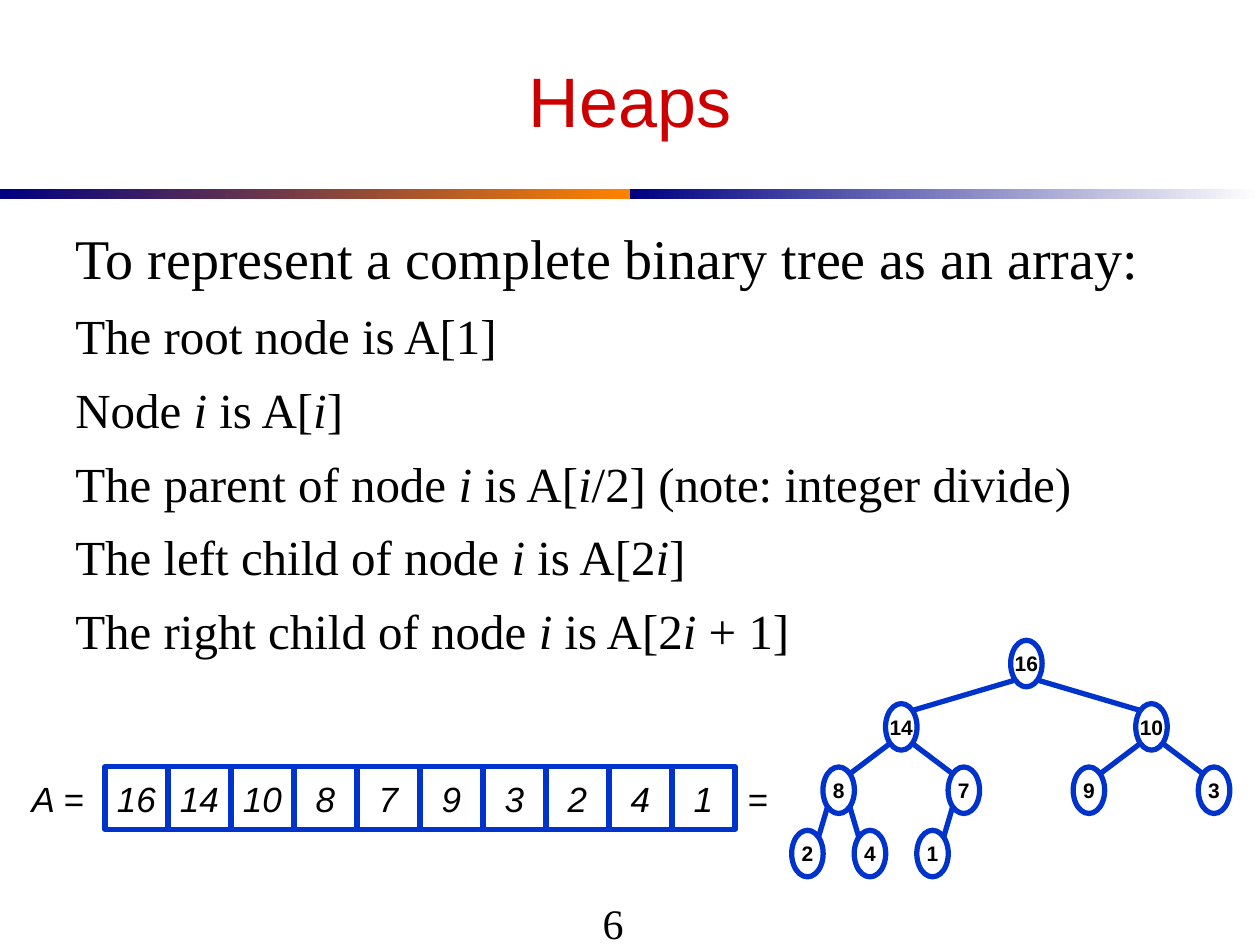
from dataclasses import dataclass

from lxml.etree import SubElement
from pptx import Presentation
from pptx.dml.color import RGBColor
from pptx.enum.shapes import MSO_CONNECTOR, MSO_SHAPE
from pptx.enum.text import MSO_ANCHOR, PP_ALIGN
from pptx.oxml.ns import qn
from pptx.util import Pt

BLUE = "0033CC"
WHITE = "FFFFFF"
BLACK = "000000"
HEAP = [16, 14, 10, 8, 7, 9, 3, 2, 4, 1]
BODY = [
    "To represent a complete binary tree as an array:",
    "The root node is A[1]",
    "Node |i| is A[|i|]",
    "The parent of node |i| is A[|i|/2] (note: integer divide)",
    "The left child of node |i| is A[2|i|]",
    "The right child of node |i| is A[2|i| + 1]",
]
NODE_W, NODE_H = 18, 26.6
ROOT_X, ROOT_Y = 586.5, 379.2
SPREAD, LEVEL_H = 143, 36.2
CELL = 36
ROW_X, ROW_Y = 60, 438


@dataclass(frozen=True)
class Box:
    x: float
    y: float
    w: float
    h: float


@dataclass(frozen=True)
class Style:
    size: float
    font: str = "Arial"
    color: str = BLACK
    bold: bool = False
    italic: bool = False


@dataclass(frozen=True)
class Node:
    value: int
    x: float
    y: float

    def corner(self, dx: int, dy: int) -> tuple[float, float]:
        diagonal = 0.5 ** 0.5 / 2
        return self.x + dx * NODE_W * diagonal, self.y + dy * NODE_H * diagonal


def rgb(value: str) -> RGBColor:
    return RGBColor.from_string(value)


def add_runs(p, text: str, style: Style) -> None:
    for i, part in enumerate(text.split("|")):
        r = p.add_run()
        r.text = part
        r.font.size = Pt(style.size)
        r.font.name = style.font
        r.font.color.rgb = rgb(style.color)
        r.font.bold = style.bold
        r.font.italic = style.italic or i % 2 == 1


def set_label(sp, text: str, style: Style, wrap: bool = False) -> None:
    tf = sp.text_frame
    tf.word_wrap = wrap
    tf.vertical_anchor = MSO_ANCHOR.MIDDLE
    p = tf.paragraphs[0]
    p.alignment = PP_ALIGN.CENTER
    add_runs(p, text, style)


def add_text(s, box: Box):
    return s.shapes.add_textbox(Pt(box.x), Pt(box.y), Pt(box.w), Pt(box.h))


def add_shape(s, kind: MSO_SHAPE, box: Box):
    sp = s.shapes.add_shape(kind, Pt(box.x), Pt(box.y), Pt(box.w), Pt(box.h))
    sp.shadow.inherit = False
    return sp


def add_outlined(s, kind: MSO_SHAPE, box: Box, text: str, style: Style) -> None:
    sp = add_shape(s, kind, box)
    sp.fill.solid()
    sp.fill.fore_color.rgb = rgb(WHITE)
    sp.line.color.rgb = rgb(BLUE)
    sp.line.width = Pt(3)
    set_label(sp, text, style)


def add_gradient_bar(s, box: Box, colors: tuple[str, str]) -> None:
    sp = add_shape(s, MSO_SHAPE.RECTANGLE, box)
    sp.line.fill.background()
    sp.fill.gradient()
    sp.fill.gradient_angle = 0
    for stop, color in zip(sp.fill.gradient_stops, colors):
        stop.color.rgb = rgb(color)


def add_edge(s, parent: Node, child: Node) -> None:
    side = 1 if child.x > parent.x else -1
    ends = [*parent.corner(side, 1), *child.corner(-side, -1)]
    line = s.shapes.add_connector(MSO_CONNECTOR.STRAIGHT, *map(Pt, ends))
    line.line.color.rgb = rgb(BLUE)
    line.line.width = Pt(3)
    SubElement(line._element.spPr, qn("a:effectLst"))


def place_nodes(values: list[int]) -> list[Node]:
    nodes = []
    for i, value in enumerate(values, 1):
        level = i.bit_length() - 1
        if level == 0:
            nodes.append(Node(value, ROOT_X, ROOT_Y))
            continue
        parent = nodes[i // 2 - 1]
        side = 1 if i % 2 else -1
        x = parent.x + side * SPREAD / 2 ** level
        nodes.append(Node(value, x, ROOT_Y + level * LEVEL_H))
    return nodes


def add_tree(s) -> None:
    nodes = place_nodes(HEAP)
    for n in nodes:
        box = Box(n.x - NODE_W / 2, n.y - NODE_H / 2, NODE_W, NODE_H)
        add_outlined(s, MSO_SHAPE.OVAL, box, str(n.value), Style(12, bold=True))
    for i, child in enumerate(nodes[1:], 2):
        add_edge(s, nodes[i // 2 - 1], child)


def add_array(s) -> None:
    style = Style(20, italic=True)
    for i, value in enumerate(HEAP):
        box = Box(ROW_X + i * CELL, ROW_Y, CELL, CELL)
        add_outlined(s, MSO_SHAPE.RECTANGLE, box, str(value), style)
    set_label(add_text(s, Box(6, ROW_Y, 54, CELL)), "A =", style)
    row_end = ROW_X + len(HEAP) * CELL
    set_label(add_text(s, Box(row_end, ROW_Y, 24, CELL)), "=", style)


def add_body(s) -> None:
    tf = add_text(s, Box(36, 120.2, 653.8, 342)).text_frame
    tf.word_wrap = True
    tf.margin_top = Pt(7.6)
    for i, text in enumerate(BODY):
        p = tf.add_paragraph() if i else tf.paragraphs[0]
        if i:
            p.space_before = Pt(8.5)
        add_runs(p, text, Style(28 if i else 32, "Times New Roman"))


def main() -> None:
    prs = Presentation()
    prs.slide_width, prs.slide_height = Pt(720), Pt(540)
    s = prs.slides.add_slide(prs.slide_layouts[6])
    add_gradient_bar(s, Box(0, 108, 360, 6), ("000082", "FF8200"))
    add_gradient_bar(s, Box(360, 108, 360, 6), ("000082", WHITE))
    page = add_text(s, Box(36, 495.4, 628.6, 64))
    set_label(page, "6", Style(24, "Times New Roman"), True)
    title = add_text(s, Box(36, 18, 648, 78))
    set_label(title, "Heaps", Style(40, color="CC0000"), True)
    add_body(s)
    add_tree(s)
    add_array(s)
    prs.save("out.pptx")


if __name__ == "__main__":
    main()
